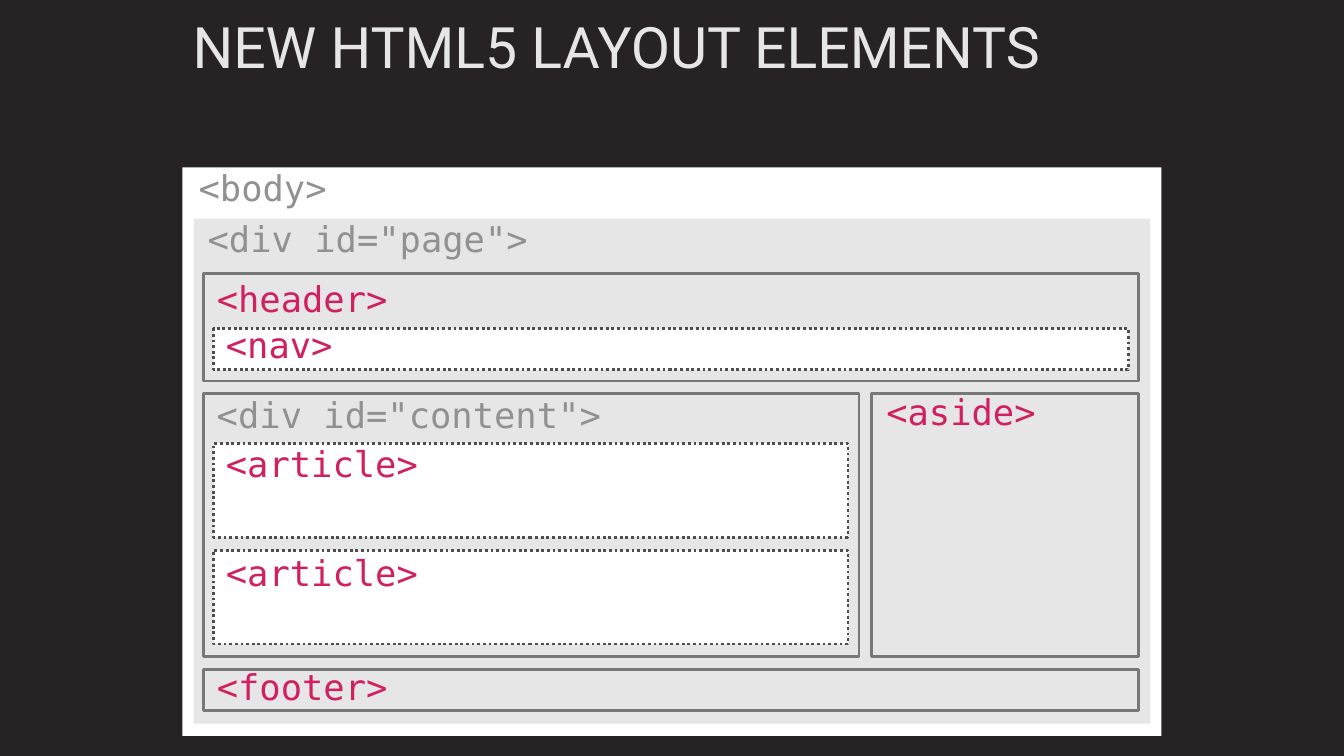
from pptx import Presentation
from pptx.dml.color import RGBColor
from pptx.enum import dml, shapes, text
from pptx.util import Inches, Pt

DARK = RGBColor(0x27, 0x22, 0x24)
WHITE = RGBColor(0xFF, 0xFF, 0xFF)
PALE = RGBColor(0xE6, 0xE6, 0xE6)
GREY = RGBColor(0x91, 0x91, 0x91)
EDGE = RGBColor(0x78, 0x78, 0x78)
DOTS = RGBColor(0x4E, 0x4E, 0x4E)
PINK = RGBColor(0xD1, 0x20, 0x60)


class Page:
    head_font, head_size = "Roboto", Pt(40.8)
    code_font, code_size = "DejaVu Sans Mono", Pt(25.3)
    label_high = 0.43

    def __init__(self, deck):
        self.slide = deck.slides.add_slide(deck.slide_layouts[5])
        fill = self.slide.background.fill
        fill.solid()
        fill.fore_color.rgb = DARK

    def set_line(self, frame, words, font, size, color):
        """Put one left-aligned, styled line into a frame without margins."""
        frame.margin_left = frame.margin_right = 0
        frame.margin_top = frame.margin_bottom = 0
        frame.text = words
        para = frame.paragraphs[0]
        para.alignment = text.PP_ALIGN.LEFT
        style = para.runs[0].font
        style.name, style.size, style.color.rgb = font, size, color
        return para

    def title(self, words, x, y, w, h):
        head = self.slide.shapes.title
        head.left, head.top = Inches(x), Inches(y)
        head.width, head.height = Inches(w), Inches(h)
        frame = head.text_frame
        frame.word_wrap = True
        frame.auto_size = text.MSO_AUTO_SIZE.NONE
        frame.vertical_anchor = text.MSO_ANCHOR.TOP
        para = self.set_line(frame, words, self.head_font, self.head_size, PALE)
        para.line_spacing = 0.8

    def box(self, x, y, w, h, fill, edge=None):
        rect = self.slide.shapes.add_shape(
            shapes.MSO_SHAPE.RECTANGLE, Inches(x), Inches(y), Inches(w), Inches(h))
        rect.shadow.inherit = False
        rect.fill.solid()
        rect.fill.fore_color.rgb = fill
        if edge is None:
            rect.line.fill.background()
        else:
            rect.line.color.rgb = edge
            rect.line.width = Pt(2)
        return rect

    def frame(self, x, y, w, h):
        self.box(x, y, w, h, PALE, EDGE)

    def dotted(self, x, y, w, h):
        rect = self.box(x, y, w, h, WHITE, DOTS)
        rect.line.dash_style = dml.MSO_LINE.ROUND_DOT

    def label(self, words, x, y, color=PINK):
        wide = 0.64 * len(words) / 3  # three monospaced letters take 0.64 inches
        note = self.slide.shapes.add_textbox(
            Inches(x), Inches(y), Inches(wide), Inches(self.label_high))
        frame = note.text_frame
        frame.word_wrap = False
        frame.auto_size = text.MSO_AUTO_SIZE.SHAPE_TO_FIT_TEXT
        frame.vertical_anchor = text.MSO_ANCHOR.MIDDLE
        self.set_line(frame, words, self.code_font, self.code_size, color)


def main():
    deck = Presentation()
    deck.slide_width, deck.slide_height = Inches(13.33), Inches(7.5)
    page = Page(deck)
    page.title("NEW HTML5 LAYOUT ELEMENTS", 1.91, 0.24, 9.51, 1.39)

    # Body and page wrapper
    page.box(1.81, 1.66, 9.71, 5.64, WHITE)
    page.label("<body>", 1.97, 1.64, GREY)
    page.box(1.92, 2.17, 9.49, 5.01, PALE)
    page.label('<div id="page">', 2.06, 2.15, GREY)

    # Header with navigation
    left, inner, wide = 2.02, 2.12, 9.27
    page.frame(left, 2.71, wide, 1.07)
    page.label("<header>", 2.15, 2.74)
    page.dotted(inner, 3.26, 9.07, 0.41)
    page.label("<nav>", 2.24, 3.2)

    # Content column with its articles
    page.frame(left, 3.9, 6.5, 2.61)
    page.label('<div id="content">', 2.15, 3.9, GREY)
    for top, row in ((4.4, 4.38), (5.46, 5.46)):
        page.dotted(inner, top, 6.29, 0.93)
        page.label("<article>", 2.24, row)

    # Side column
    page.frame(8.64, 3.9, 2.65, 2.61)
    page.label("<aside>", 8.79, 3.87)

    # Footer
    page.frame(left, 6.64, wide, 0.41)
    page.label("<footer>", 2.15, 6.59)

    deck.save("out.pptx")


if __name__ == "__main__":
    main()
